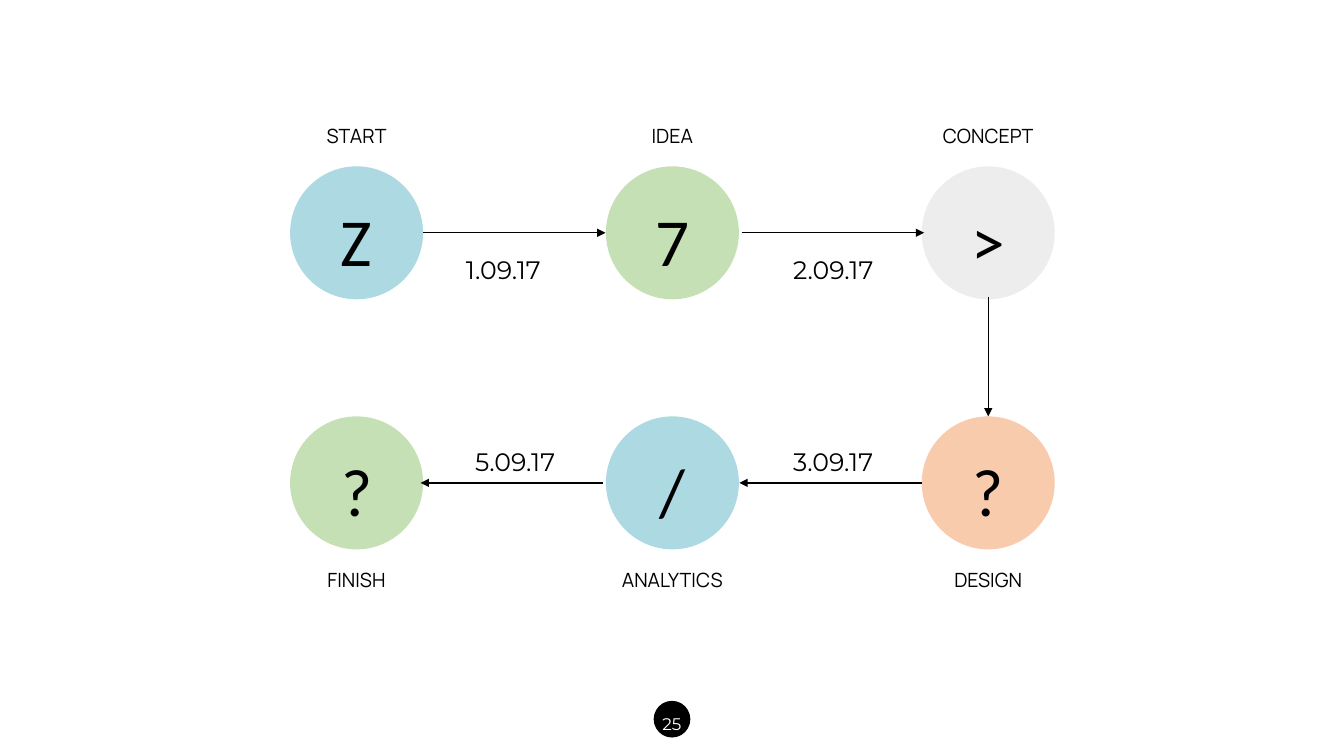
from dataclasses import dataclass

from lxml.etree import SubElement
from pptx import Presentation
from pptx.dml.color import RGBColor
from pptx.enum.shapes import MSO_CONNECTOR, MSO_SHAPE
from pptx.enum.text import MSO_ANCHOR, PP_ALIGN
from pptx.oxml.ns import qn
from pptx.util import Pt

# Each stage: caption, icon character, theme colour, column, row
STAGES = [
    ("START", "Z", "blue", 0, 0),
    ("IDEA", "7", "green", 1, 0),
    ("CONCEPT", ">", "gray", 2, 0),
    ("DESIGN", "?", "orange", 2, 1),
    ("ANALYTICS", "/", "blue", 1, 1),
    ("FINISH", "?", "green", 0, 1),
]
# Each date: text, centre x, row
DATES = [
    ("1.09.17", 359.6, 0),
    ("2.09.17", 595.2, 0),
    ("3.09.17", 595.2, 1),
    ("5.09.17", 368, 1),
]
PAGE_NUMBER = "25"


@dataclass(frozen=True)
class Theme:
    blue: str = "ACD9E2"
    green: str = "C5E0B4"
    gray: str = "EDEDED"
    orange: str = "F8CBAD"
    ink: str = "000000"
    paper: str = "FFFFFF"
    icon_font: str = "Calibri"
    caption_font: str = "Manrope"
    number_font: str = "Montserrat"
    icon_size: int = 48
    caption_size: int = 14
    date_size: int = 18
    page_size: int = 12


THEME = Theme()
SLIDE_W, SLIDE_H = 960, 540
MIDDLE = SLIDE_W / 2
COLUMN_STEP = 225.6
COLUMN_X = [MIDDLE + 0.3 + COLUMN_STEP * step for step in (-1, 0, 1)]
ROW_Y = [166.3, 344.9]
DIAMETER = 95
RADIUS = DIAMETER / 2
ICON_DROP = 5.4
CAPTION_Y = [97.2, 414.7]
DATE_Y = [187.2, 324.7]
ARROW_LENGTH = 130.3
PAGE_Y = 513.7


def add_circle(slide, x, y, diameter, color, outline=None):
    """Draw a circle around the centre (x, y)."""
    circle = slide.shapes.add_shape(
        MSO_SHAPE.OVAL, Pt(x - diameter / 2), Pt(y - diameter / 2), Pt(diameter), Pt(diameter))
    circle.shadow.inherit = False
    circle.fill.solid()
    circle.fill.fore_color.rgb = RGBColor.from_string(color)
    if outline:
        circle.line.color.rgb = RGBColor.from_string(outline)
        circle.line.width = Pt(1)
    else:
        circle.line.fill.background()


def add_text(slide, text, x, y, width, height, *, font, size, color=THEME.ink, spacing=1.0):
    """Write centred text in a box around the centre (x, y)."""
    box = slide.shapes.add_textbox(
        Pt(x - width / 2), Pt(y - height / 2), Pt(width), Pt(height))
    frame = box.text_frame
    frame.word_wrap = True
    frame.vertical_anchor = MSO_ANCHOR.TOP
    paragraph = frame.paragraphs[0]
    paragraph.alignment = PP_ALIGN.CENTER
    paragraph.line_spacing = spacing
    run = paragraph.add_run()
    run.text = text
    run.font.name = font
    run.font.size = Pt(size)
    run.font.color.rgb = RGBColor.from_string(color)


def add_arrow(slide, x1, y1, x2, y2):
    arrow = slide.shapes.add_connector(
        MSO_CONNECTOR.STRAIGHT, Pt(x1), Pt(y1), Pt(x2), Pt(y2))
    arrow.line.color.rgb = RGBColor.from_string(THEME.ink)
    arrow.line.width = Pt(1)
    SubElement(arrow.line._get_or_add_ln(), qn("a:tailEnd"), type="triangle")
    SubElement(arrow._element.spPr, qn("a:effectLst"))


def add_stage(slide, caption, icon, color, column, row):
    x, y = COLUMN_X[column], ROW_Y[row]
    add_circle(slide, x, y, DIAMETER, getattr(THEME, color))
    add_text(slide, icon, x, y + ICON_DROP, 58.3, 65.5,
             font=THEME.icon_font, size=THEME.icon_size)
    add_text(slide, caption, x, CAPTION_Y[row], 105.8, 24.5,
             font=THEME.caption_font, size=THEME.caption_size)


def add_arrows(slide):
    left, center, right = COLUMN_X
    top, bottom = ROW_Y
    starts = [
        (left + RADIUS, top, 1),
        (center + RADIUS + 2, top, 1),
        (right - RADIUS, bottom, -1),
        (center - RADIUS - 2, bottom, -1),
    ]
    for x, y, direction in starts:
        add_arrow(slide, x, y, x + direction * ARROW_LENGTH, y)
    add_arrow(slide, right, top + RADIUS - 1.4, right, bottom - RADIUS)


def main():
    deck = Presentation()
    deck.slide_width, deck.slide_height = Pt(SLIDE_W), Pt(SLIDE_H)
    slide = deck.slides.add_slide(deck.slide_layouts[6])

    add_circle(slide, MIDDLE, PAGE_Y, 25.2, THEME.ink, outline=THEME.ink)
    add_text(slide, PAGE_NUMBER, MIDDLE, PAGE_Y - 1.4, 36, 26.6, font=THEME.number_font,
             size=THEME.page_size, color=THEME.paper, spacing=1.5)
    for stage in STAGES:
        add_stage(slide, *stage)
    for date, x, row in DATES:
        add_text(slide, date, x, DATE_Y[row], 88, 40.3, font=THEME.number_font,
                 size=THEME.date_size, spacing=1.5)
    add_arrows(slide)
    deck.save("out.pptx")


if __name__ == "__main__":
    main()
